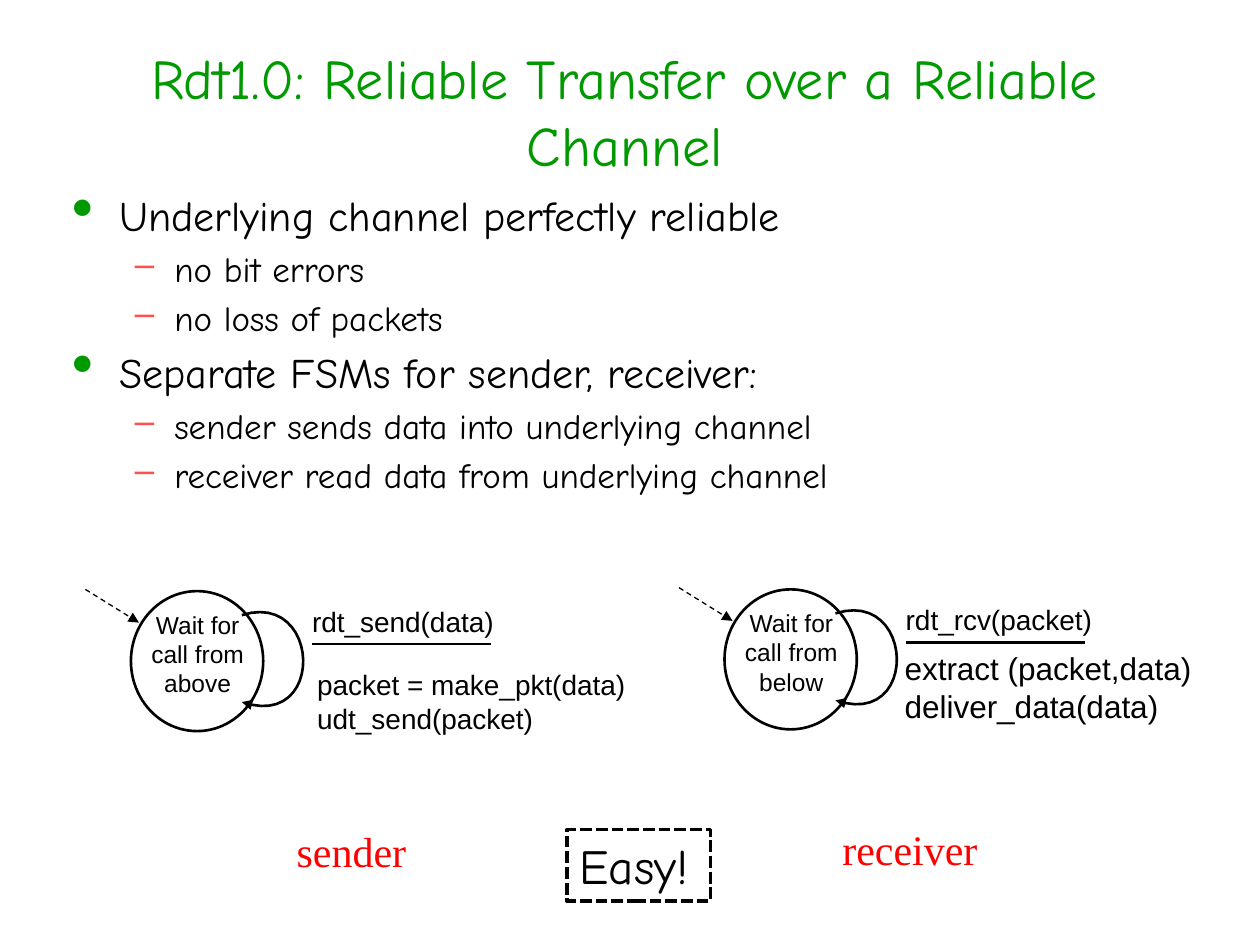
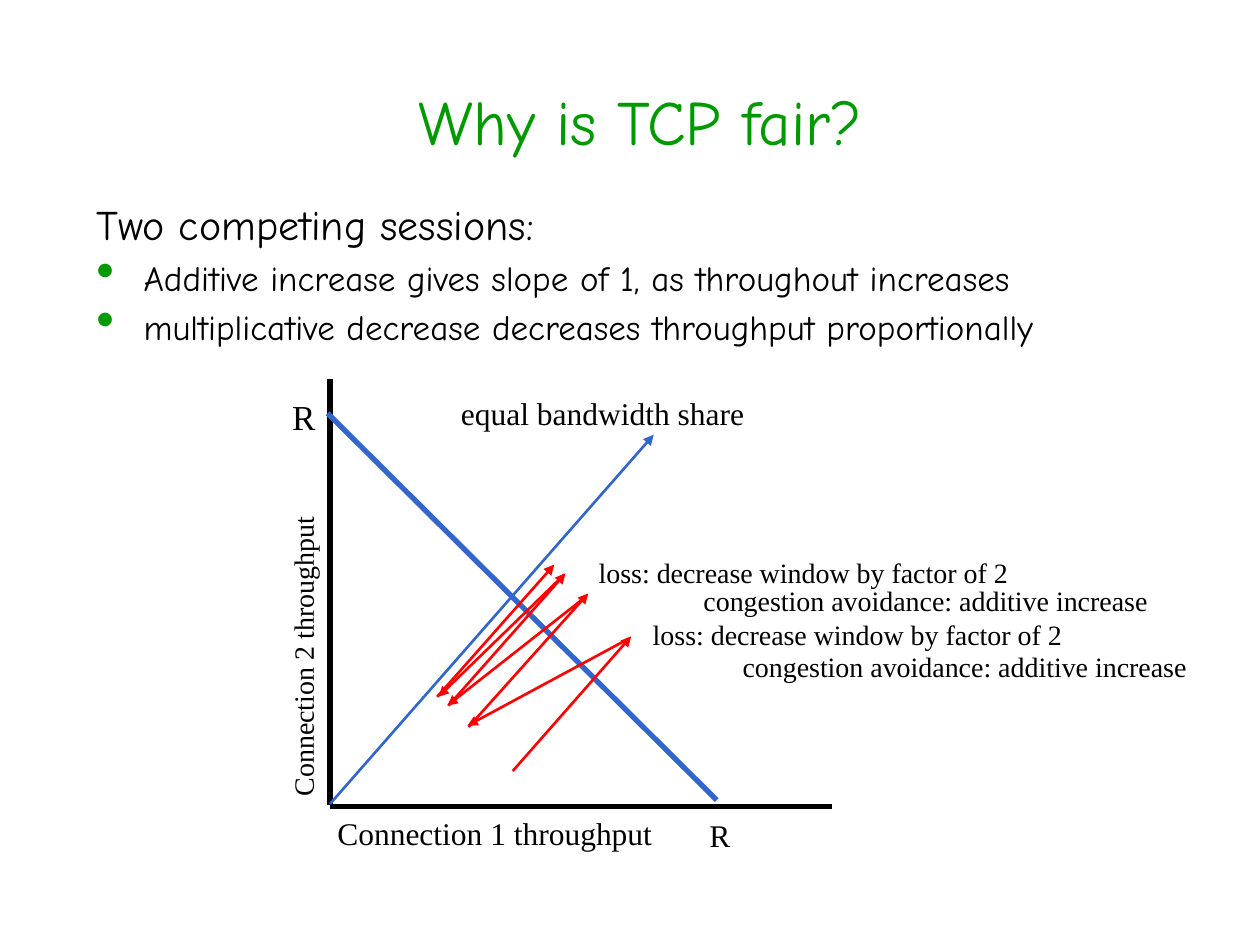
"""Build two slides on reliable transfer and TCP fairness."""
import pptx
import pptx.dml.color
import pptx.enum.dml
import pptx.enum.shapes
import pptx.enum.text
import pptx.oxml
import pptx.oxml.ns
import pptx.util

Pt = pptx.util.Pt
RGBColor = pptx.dml.color.RGBColor
Align = pptx.enum.text.PP_ALIGN
Anchor = pptx.enum.text.MSO_ANCHOR
Dash = pptx.enum.dml.MSO_LINE
Shape = pptx.enum.shapes.MSO_SHAPE

BLACK = RGBColor(0x00, 0x00, 0x00)
WHITE = RGBColor(0xFF, 0xFF, 0xFF)
GREEN = RGBColor(0x00, 0x99, 0x00)
CORAL = RGBColor(0xFF, 0x50, 0x50)
RED = RGBColor(0xFF, 0x00, 0x00)
BLUE = RGBColor(0x33, 0x66, 0xCC)
COMIC, SANS, SERIF = "Comic Neue", "Arial", "Times New Roman"

PLAIN = dict(size=24, left=27, hang=27)
MAIN = dict(size=24, left=27, hang=27, mark="•", tint=GREEN, scale=150)
POINT = dict(MAIN, size=20)
SUB = dict(size=20, left=58.5, hang=22.5, mark="–", tint=CORAL, scale=100)


def add(parent, tag, **attrs):
    """Append a DrawingML element with the given attributes."""
    node = pptx.oxml.parse_xml(f"<a:{tag} {pptx.oxml.ns.nsdecls('a')}/>")
    for key, value in attrs.items():
        node.set(key, str(value))
    parent.append(node)
    return node


def write(frame, text, size=16, font=SERIF, color=BLACK, align=Align.LEFT,
          wrap=True, anchor=Anchor.TOP):
    """Write each line of text as a paragraph and return the last one."""
    frame.word_wrap = wrap
    frame.vertical_anchor = anchor
    for line in text.split("\n"):
        para = frame.paragraphs[0] if not frame.text else frame.add_paragraph()
        para.alignment = align
        run = para.add_run()
        run.text = line
        run.font.size = Pt(size)
        run.font.name = font
        run.font.color.rgb = color
    return para


def label(slide, box, text, **style):
    """Place a text box at left, top, width, height."""
    shape = slide.shapes.add_textbox(*map(Pt, box))
    write(shape.text_frame, text, **style)
    return shape


def stroke(shape, color=BLACK, width=1.5, dash=None, arrow=False):
    """Style the line of a shape or connector."""
    shape.line.color.rgb = color
    shape.line.width = Pt(width)
    if dash:
        shape.line.dash_style = dash
    if arrow:
        add(shape.line._get_or_add_ln(), "tailEnd", type="triangle")


def link(slide, start, end, **style):
    """Draw a straight line from start to end."""
    line = slide.shapes.add_connector(
        pptx.enum.shapes.MSO_CONNECTOR.STRAIGHT, *map(Pt, (*start, *end)))
    stroke(line, **style)
    add(line._element.spPr, "effectLst")


def title(slide, box, text, size):
    """Place the slide title."""
    label(slide, box, text, size=size, font=COMIC, color=GREEN,
          align=Align.CENTER, anchor=Anchor.MIDDLE)


def body(slide, box, items):
    """Place a list of styled bullet lines."""
    frame = slide.shapes.add_textbox(*map(Pt, box)).text_frame
    for text, kind in items:
        para = write(frame, text, size=kind["size"], font=COMIC)
        para.space_before = Pt(0.2 * kind["size"])
        props = para._p.get_or_add_pPr()
        props.set("marL", str(Pt(kind["left"])))
        props.set("indent", str(-Pt(kind["hang"])))
        if "mark" in kind:
            add(add(props, "buClr"), "srgbClr", val=kind["tint"])
            add(props, "buSzPct", val=kind["scale"] * 1000)
            add(props, "buChar", char=kind["mark"])


def loop(slide, left, top):
    """Draw the curved arrow that returns to its state."""
    knots = [(63.4, 13.7), (108.7, -0.7), (111.6, 80), (63.4, 63.4)]
    steps = 24
    spots = []
    for step in range(steps + 1):
        t = step / steps
        parts = ((1 - t) ** 3, 3 * t * (1 - t) ** 2, 3 * t * t * (1 - t), t ** 3)
        x = left + sum(part * knot[0] for part, knot in zip(parts, knots))
        y = top + sum(part * knot[1] for part, knot in zip(parts, knots))
        spots.append((Pt(x), Pt(y)))
    pen = slide.shapes.build_freeform(*spots[0])
    pen.add_line_segments(spots[1:], close=False)
    curve = pen.convert_to_shape()
    curve.fill.background()
    curve.shadow.inherit = False
    stroke(curve, arrow=True)


def state(slide, left, top, name, event, act, shift, size, role, gap):
    """Draw a one-state machine whose circle starts at left, top."""
    ring = slide.shapes.add_shape(
        Shape.OVAL, Pt(left), Pt(top), Pt(75.6), Pt(80))
    ring.fill.solid()
    ring.fill.fore_color.rgb = WHITE
    ring.shadow.inherit = False
    stroke(ring)
    label(slide, (left - 5, top + 7, 86.4, 72), name, size=14, font=SANS,
          align=Align.CENTER)
    loop(slide, left, top)
    link(slide, (left - 26, top - 1), (left + 4.6, top + 18),
         width=0.75, dash=Dash.DASH, arrow=True)
    label(slide, (left + 96.5, top + 4, 150, 27), event, font=SANS)
    link(slide, (left + 103.7, top + 30.2), (left + 206, top + 30.2))
    label(slide, (left + shift[0], top + shift[1], 211, 47), act,
          size=size, font=SANS)
    label(slide, (left + gap, top + 130.5, 92, 36), role, size=24, color=RED,
          align=Align.CENTER, wrap=False)


def badge(slide, box, text):
    """Place a dashed box with a short remark."""
    shape = slide.shapes.add_shape(Shape.RECTANGLE, *map(Pt, box))
    shape.fill.background()
    shape.shadow.inherit = False
    stroke(shape, width=2.25, dash=Dash.SQUARE_DOT)
    write(shape.text_frame, text, size=28, font=COMIC, wrap=False)


def graph(slide, left, base):
    """Draw the throughput graph with its origin at left, base."""
    def spot(x, up):
        """Turn graph units into slide points."""
        return left + x, base - up

    def line(start, end, **style):
        """Draw a line between two graph spots."""
        link(slide, spot(*start), spot(*end), **style)

    def note(x, up, width, text, **style):
        """Place a label by its top left graph spot."""
        return label(slide, (*spot(x, up), width, 28), text, **style)

    line((0, 0), (286.6, 0), width=3)
    line((0, 0.7), (0, 244), width=3)
    line((0, 1.4), (185, 212.4), color=BLUE, arrow=True)
    line((-1.4, 224.6), (221, 3.6), color=BLUE, width=3)

    paths = [
        ((104.4, 20.2), (172.1, 97.2)), ((170.6, 95.8), (78.5, 46.1)),
        ((79.2, 45.4), (147.6, 121.7)), ((144, 118.1), (67, 57.6)),
        ((67.7, 57.6), (134.6, 133.2)), ((133.9, 132.5), (61.9, 62.6)),
        ((61.2, 62.6), (128.2, 138.2)),
    ]
    for start, end in paths:
        line(start, end, color=RED, arrow=True)

    note(-28.8, 238.3, 32, "R", size=20)
    note(203.8, -2.2, 32, "R", size=18, align=Align.RIGHT)
    note(67.7, 239, 279, "equal bandwidth share", size=18)
    note(-2.9, -0.7, 238, "Connection 1 throughput", size=18)
    side = note(-136, 132.5, 241, "Connection 2 throughput")
    side.height = Pt(26.6)
    side.rotation = 270

    loss = "loss: decrease window by factor of 2"
    avoid = "congestion avoidance: additive increase"
    for x, up, width, text in [
            (142.6, 146.9, 252, loss), (117.4, 131, 357, avoid),
            (173.5, 111.6, 252, loss), (139.7, 92.9, 357, avoid)]:
        note(x, up, width, text, align=Align.RIGHT, wrap=text == avoid)


def rdt(slide):
    """Build the slide on the reliable channel."""
    title(slide, (42, 18, 630, 90),
          "Rdt1.0: Reliable Transfer over a Reliable Channel", 32)
    body(slide, (34, 105, 622, 238), [
        ("Underlying channel perfectly reliable", MAIN),
        ("no bit errors", SUB),
        ("no loss of packets", SUB),
        ("Separate FSMs for sender, receiver:", MAIN),
        ("sender sends data into underlying channel", SUB),
        ("receiver read data from underlying channel", SUB)])
    state(slide, 74.8, 337.8, "Wait for call from above", "rdt_send(data)",
          "packet = make_pkt(data)\nudt_send(packet)", (99.4, 40.3), 16,
          "sender", 80)
    state(slide, 414, 336.8, "Wait for call from below", "rdt_rcv(packet)",
          "extract (packet,data)\ndeliver_data(data)", (95.8, 30.4), 18,
          "receiver", 60)
    badge(slide, (324, 474, 82, 41), "Easy!")


def fair(slide):
    """Build the slide on TCP fairness."""
    title(slide, (60, 24, 612, 90), "Why is TCP fair?", 36)
    body(slide, (48, 110, 654, 366), [
        ("Two competing sessions:", PLAIN),
        ("Additive increase gives slope of 1, as throughout increases", POINT),
        ("multiplicative decrease decreases throughput proportionally", POINT)])
    graph(slide, 188.6, 460.8)


def main():
    """Build and save the deck."""
    deck = pptx.Presentation()
    deck.slide_width, deck.slide_height = Pt(720), Pt(540)
    for build in (rdt, fair):
        build(deck.slides.add_slide(deck.slide_layouts[6]))
    deck.save("out.pptx")


if __name__ == "__main__":
    main()
